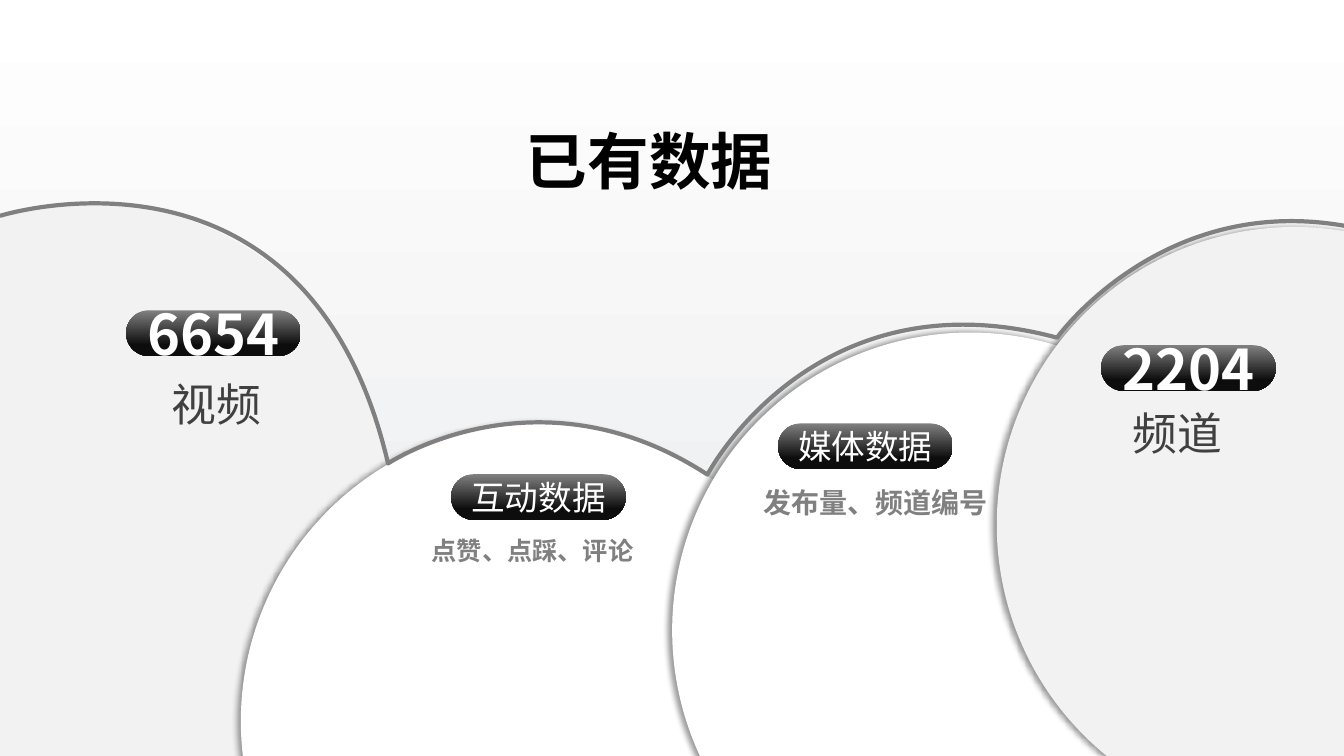
from lxml.etree import SubElement
from pptx import Presentation
from pptx.dml.color import RGBColor
from pptx.enum.shapes import MSO_SHAPE
from pptx.enum.text import MSO_ANCHOR, MSO_AUTO_SIZE, PP_ALIGN
from pptx.oxml.ns import qn
from pptx.util import Cm, Pt

WHITE = RGBColor(0xFF, 0xFF, 0xFF)
BLACK = RGBColor(0x00, 0x00, 0x00)
MIST = RGBColor(0xE8, 0xE9, 0xEB)
PALE = RGBColor(0xF2, 0xF2, 0xF2)
GRAY = RGBColor(0x80, 0x80, 0x80)
DARK = RGBColor(0x40, 0x40, 0x40)
INK = RGBColor(0x0D, 0x0D, 0x0D)

DIAMETER = 15.01
PILL_W, PILL_H = 4.4, 1.15


def write(sp, text, size, color, bold=False, align=PP_ALIGN.LEFT,
          anchor=MSO_ANCHOR.TOP, wrap=True, font="Noto Sans CJK SC"):
    tf = sp.text_frame
    tf.auto_size = MSO_AUTO_SIZE.NONE
    tf.word_wrap = wrap
    tf.vertical_anchor = anchor
    p = tf.paragraphs[0]
    p.alignment = align
    r = p.add_run()
    r.text = text
    r.font.size = Pt(size)
    r.font.bold = bold
    r.font.color.rgb = color
    r.font.name = font
    SubElement(r.font._element, qn("a:ea"), typeface=font)


def fade_down(fill, top, bottom, end=1.0):
    """Fill with a vertical gradient that reaches its bottom colour at end."""
    fill.gradient()
    fill.gradient_angle = 270
    for stop, color, position in zip(fill.gradient_stops, (top, bottom), (0, end)):
        stop.color.rgb = color
        stop.position = position


prs = Presentation()
prs.slide_width, prs.slide_height = Cm(33.87), Cm(19.05)
s = prs.slides.add_slide(prs.slide_layouts[5])
fade_down(s.background.fill, WHITE, MIST)

title = s.shapes.title
title.left, title.top, title.width, title.height = Cm(13), Cm(2.97), Cm(6.81), Cm(2.13)
write(title, "已有数据", 44, BLACK, bold=True, wrap=False, font="Noto Sans CJK JP")

# circle (left, top, fill, shadow), pill (left, top, text, size, bold),
# caption (left, top, width, height, text, size, colour, bold)
bubbles = [
    ((-5.21, 5.13, PALE, False), (3.18, 7.82, "6654", 40, True),
     (4.08, 9.37, 3.35, 1.63, "视频", 32, DARK, False)),
    ((6.07, 10.67, WHITE, True), (11.37, 11.95, "互动数据", 24, False),
     (10.63, 13.37, 6.81, 1.02, "点赞、点踩、评论", 18, GRAY, True)),
    ((16.94, 8.38, WHITE, True), (19.61, 10.67, "媒体数据", 24, False),
     (18.98, 12.11, 6.81, 1.12, "发布量、频道编号", 20, GRAY, True)),
    ((25.12, 5.72, PALE, True), (27.75, 8.7, "2204", 40, True),
     (28.3, 10.1, 3.05, 1.63, "频道", 32, DARK, False)),
]
for circle, pill, caption in bubbles:
    shapes = s.shapes.add_group_shape().shapes

    x, y, color, shaded = circle
    sp = shapes.add_shape(MSO_SHAPE.OVAL, Cm(x), Cm(y), Cm(DIAMETER), Cm(DIAMETER))
    sp.fill.solid()
    sp.fill.fore_color.rgb = color
    sp.line.fill.background()
    sp.shadow.inherit = False
    if shaded:
        effects = sp._element.spPr.find(qn("a:effectLst"))
        shadow = SubElement(effects, qn("a:outerShdw"), blurRad=str(Pt(4)),
                            dist=str(Pt(3)), dir="10800000", algn="r", rotWithShape="0")
        black = SubElement(shadow, qn("a:srgbClr"), val="000000")
        SubElement(black, qn("a:alpha"), val="40000")

    x, y, text, size, bold = pill
    sp = shapes.add_shape(MSO_SHAPE.ROUNDED_RECTANGLE, Cm(x), Cm(y), Cm(PILL_W), Cm(PILL_H))
    sp.adjustments[0] = 0.5
    fade_down(sp.fill, GRAY, INK, end=0.76)
    sp.line.fill.background()
    sp.shadow.inherit = False
    write(sp, text, size, WHITE, bold, PP_ALIGN.CENTER, MSO_ANCHOR.MIDDLE)

    x, y, w, h, text, size, color, bold = caption
    write(shapes.add_textbox(Cm(x), Cm(y), Cm(w), Cm(h)), text, size, color, bold)

# Skyline over the circles: each arc leaves its start, bends to a control point, then ends
start = (0, 5.44)
arcs = [((7.75, 3), (9.78, 11.68)), ((13.54, 9.17), (17.83, 11.96)),
        ((20.5, 6.86), (26.64, 8.51)), ((29.24, 4.88), (33.88, 5.69))]
outline = s.shapes.build_freeform(Cm(start[0]), Cm(start[1]))
for control, end in arcs:
    outline.add_line_segments([(Cm(x), Cm(y)) for x, y in (start, control, end)], close=False)
    start = end
skyline = outline.convert_to_shape()
skyline.fill.background()
skyline.line.color.rgb = GRAY
skyline.line.width = Pt(3)
skyline.shadow.inherit = False

# Turn every three straight segments into one cubic curve
path = next(skyline._element.iter(qn("a:path")))
segments = path.findall(qn("a:lnTo"))
for i in range(0, len(segments), 3):
    curve = SubElement(path, qn("a:cubicBezTo"))
    for segment in segments[i:i + 3]:
        curve.append(segment[0])
        path.remove(segment)

prs.save("out.pptx")
